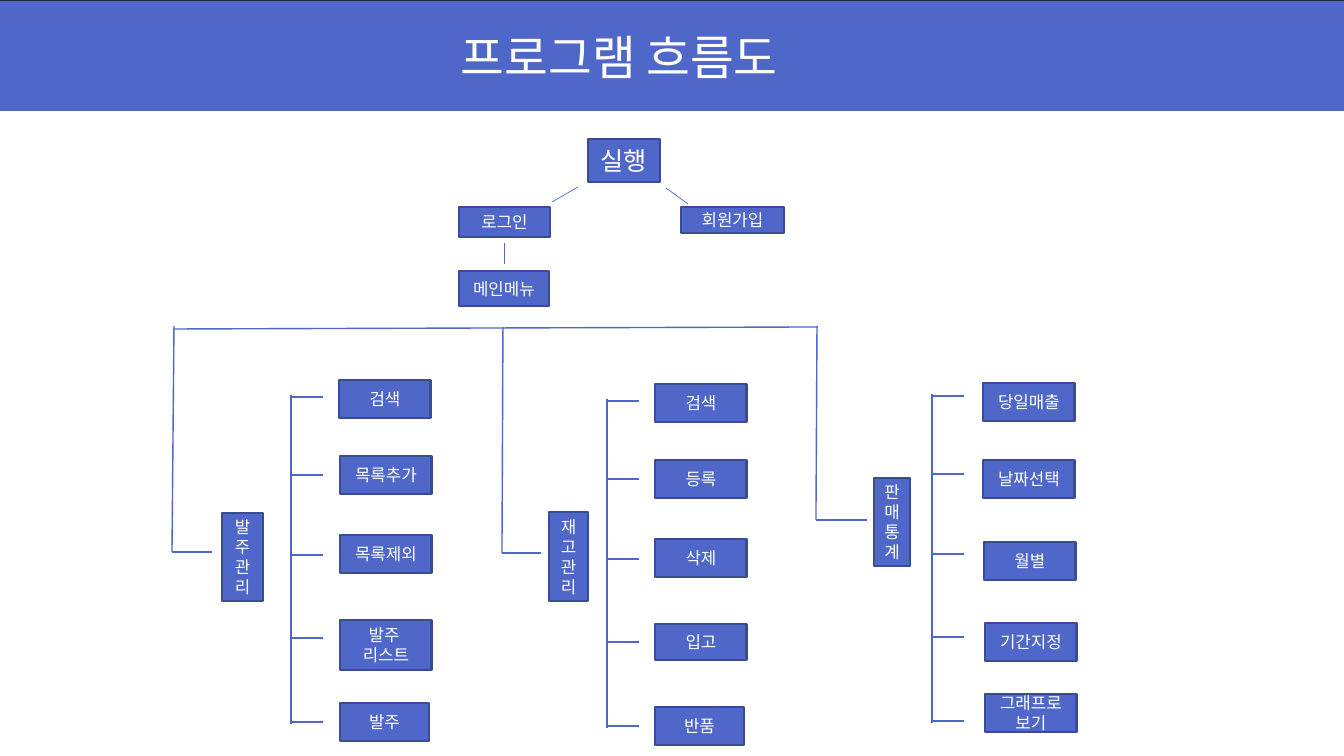
import pptx
import pptx.util
import pptx.dml.color
import pptx.enum.shapes
import pptx.enum.text
import pptx.oxml.ns
import lxml.etree

SLIDE = (1344, 756)
EMU_PER_PX = 914400 / 100.8
FONT = "Noto Sans CJK KR"
COLORS = {"blue": "4E67C8", "edge": "3A4C94", "navy": "212745", "white": "FFFFFF"}

TITLE = ("프로그램 흐름도", (451, 23, 397, 68))
START_STEPS = [
    ("실행", (588, 139, 72, 43), 18),
    ("로그인", (459, 207, 91, 30), 12),
    ("회원가입", (681, 207, 103, 26), 12),
    ("메인메뉴", (459, 271, 90, 35), 12),
]
START_LINKS = [(578, 187, 552, 202), (666, 188, 688, 204), (504, 243, 504, 264)]
MENU_BUS = (173, 329, 818, 327)
TICK_OFFSETS = [0, 78, 158, 241, 325]
TICK_LENGTH = 32
SPINE_OVERHANG = 2
ITEM_WIDTH = 92
BRANCHES = [
    {
        "menu": ("발주관리", (222, 513, 41, 88)),
        "drop": [(174, 326), (172, 552), (212, 552)],
        "spine": (291, 397),
        "items": [("검색", 339, 380, 38), ("목록추가", 340, 456, 38), ("목록제외", 340, 535, 38),
                  ("발주 \n리스트", 340, 620, 50), ("발주", 340, 703, 38)],
        "last_width": 89,
    },
    {
        "menu": ("재고관리", (549, 512, 39, 89)),
        "drop": [(503, 327), (502, 553), (541, 553)],
        "spine": (607, 401),
        "items": [("검색", 655, 384, 38), ("등록", 655, 460, 38), ("삭제", 655, 539, 38),
                  ("입고", 655, 624, 36), ("반품", 655, 707, 38)],
        "last_width": 89,
    },
    {
        "menu": ("판매통계", (874, 478, 36, 88)),
        "drop": [(817, 326), (816, 520), (867, 520)],
        "spine": (932, 396),
        "items": [("당일매출", 983, 383, 38), ("날짜선택", 983, 460, 38), ("월별", 984, 542, 38),
                  ("기간지정", 985, 623, 38), ("그래프로 보기", 985, 694, 38)],
        "last_width": 92,
    },
]


def px(*lengths):
    return [pptx.util.Emu(round(length * EMU_PER_PX)) for length in lengths]


def rgb(name):
    return pptx.dml.color.RGBColor.from_string(COLORS[name])


def write(text, frame, size=12, align="CENTER", anchor="MIDDLE"):
    frame.word_wrap = True
    frame.vertical_anchor = getattr(pptx.enum.text.MSO_ANCHOR, anchor)
    frame.text = text
    for paragraph in frame.paragraphs:
        paragraph.alignment = getattr(pptx.enum.text.PP_ALIGN, align)
        for run in paragraph.runs:
            run.font.size = pptx.util.Pt(size)
            run.font.color.rgb = rgb("white")
            run.font.name = FONT
            east_asian = lxml.etree.SubElement(run.font._element, pptx.oxml.ns.qn("a:ea"))
            east_asian.set("typeface", FONT)


def add_box(slide, place, fill="blue", edge="edge"):
    box = slide.shapes.add_shape(pptx.enum.shapes.MSO_SHAPE.RECTANGLE, *px(*place))
    box.shadow.inherit = False
    box.fill.solid()
    box.fill.fore_color.rgb = rgb(fill)
    box.line.color.rgb = rgb(edge)
    box.line.width = pptx.util.Pt(2)
    return box


def add_line(slide, ends, weight=1):
    line = slide.shapes.add_connector(pptx.enum.shapes.MSO_CONNECTOR.STRAIGHT, *px(*ends))
    line.line.color.rgb = rgb("blue")
    line.line.width = pptx.util.Pt(weight)
    lxml.etree.SubElement(line._element.spPr, pptx.oxml.ns.qn("a:effectLst"))


def add_branch(slide, branch):
    start, corner, end = branch["drop"]
    add_line(slide, start + corner)
    add_line(slide, corner + end)

    menu, place = branch["menu"]
    write(menu, add_box(slide, place).text_frame)

    x, first = branch["spine"]
    add_line(slide, (x, first - SPINE_OVERHANG, x, first + TICK_OFFSETS[-1] + SPINE_OVERHANG))
    widths = [ITEM_WIDTH] * (len(TICK_OFFSETS) - 1) + [branch["last_width"]]
    for offset, width, (item, left, top, height) in zip(TICK_OFFSETS, widths, branch["items"]):
        add_line(slide, (x, first + offset, x + TICK_LENGTH, first + offset))
        write(item, add_box(slide, (left, top, width, height)).text_frame)


def main():
    deck = pptx.Presentation()
    deck.slide_width, deck.slide_height = px(*SLIDE)
    slide = deck.slides.add_slide(deck.slide_layouts[6])

    add_box(slide, (0, 0, SLIDE[0], 108), "navy", "navy")
    add_box(slide, (0, 2, SLIDE[0], 108), "blue", "blue")
    title, place = TITLE
    write(title, slide.shapes.add_textbox(*px(*place)).text_frame, size=34, align="LEFT", anchor="TOP")

    for step, place, size in START_STEPS:
        write(step, add_box(slide, place).text_frame, size=size)
    for ends in START_LINKS:
        add_line(slide, ends, weight=0.5)
    add_line(slide, MENU_BUS)
    for branch in BRANCHES:
        add_branch(slide, branch)
    deck.save("out.pptx")


if __name__ == "__main__":
    main()
